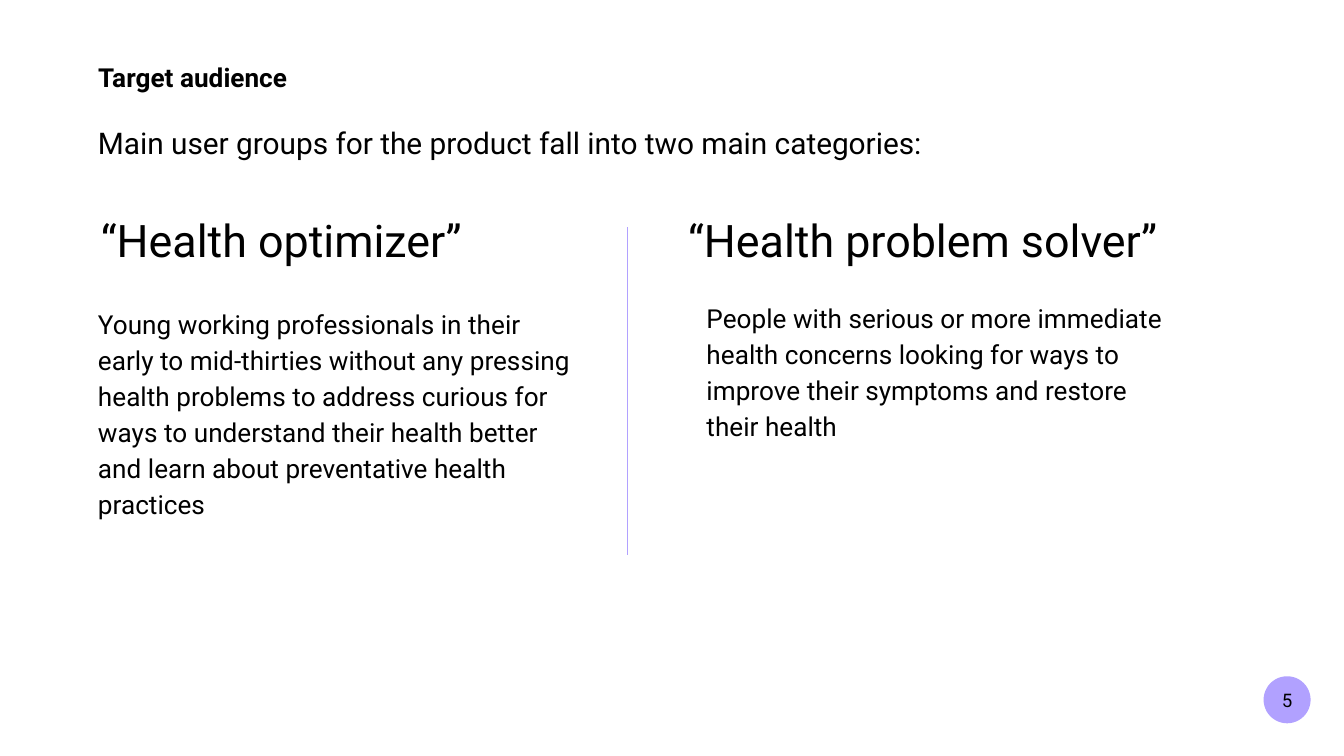
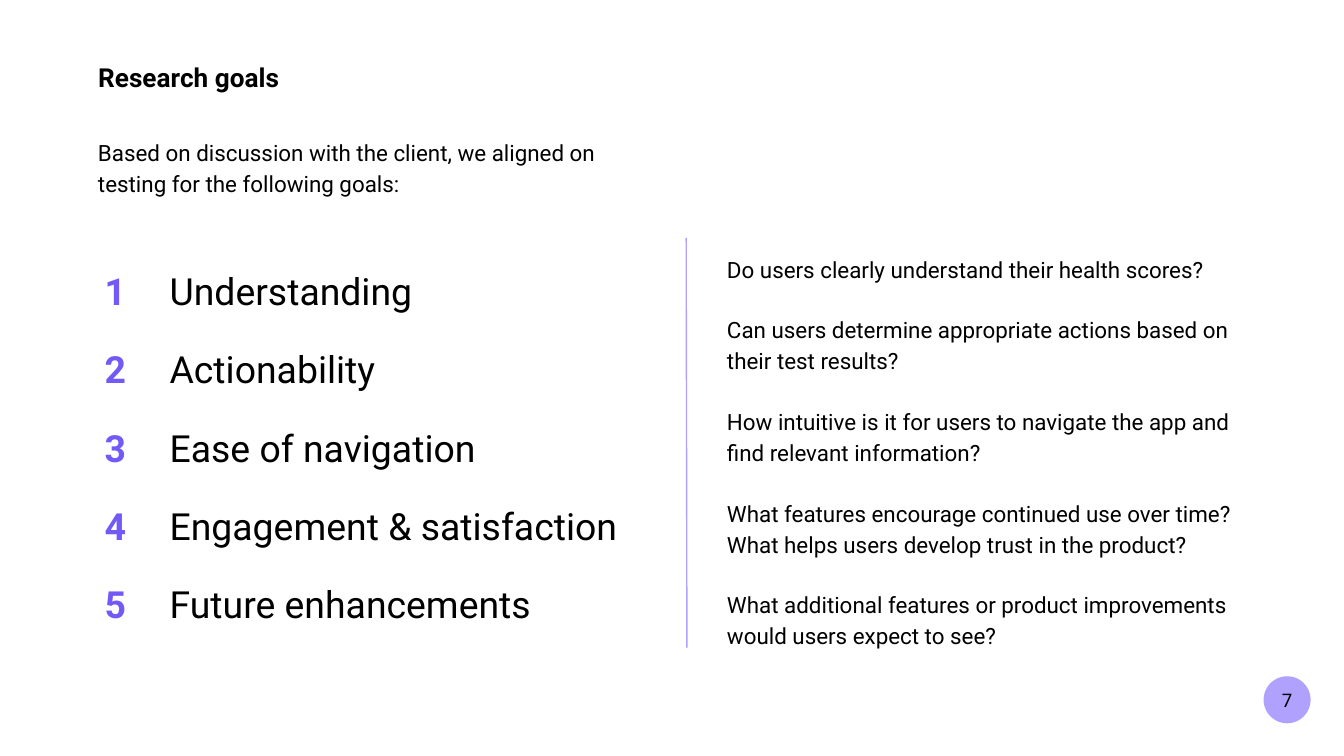
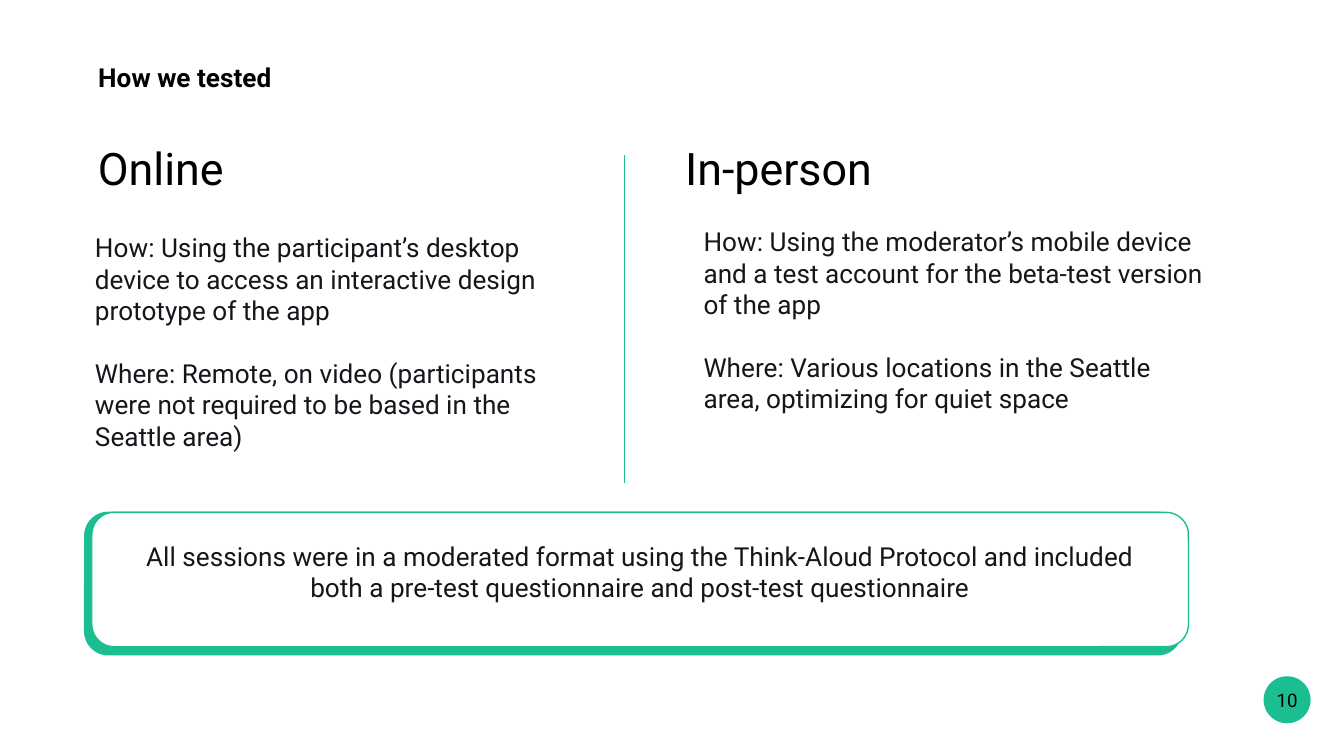
"""Build three research slides on audience, goals and test format."""
from lxml.etree import SubElement
from pptx import Presentation
from pptx.dml.color import RGBColor
from pptx.enum.shapes import MSO_CONNECTOR, MSO_SHAPE
from pptx.enum.text import MSO_ANCHOR, MSO_AUTO_SIZE, PP_ALIGN
from pptx.oxml.ns import qn
from pptx.util import Pt

FONT = "Roboto"
HEX = {"black": "000000", "ink": "15151B", "white": "FFFFFF",
       "lilac": "B1A1FF", "violet": "7359F5", "green": "1BBE90"}

GROUPS = {
    "title": "Target audience", "page": 5, "tint": "lilac",
    "lead": "Main user groups for the product fall into two main categories:",
    "heads": ("“Health optimizer”", "“Health problem solver”"),
    "texts": (
        ["Young working professionals in their early to mid-thirties without any "
         "pressing health problems to address curious for ways to understand their "
         "health better and learn about preventative health practices"],
        ["People with serious or more immediate health concerns looking for ways to "
         "improve their symptoms and restore their health"]),
}
GOALS = {
    "title": "Research goals", "page": 7, "tint": "lilac",
    "lead": "Based on discussion with the client, we aligned on testing for the "
            "following goals:",
    "rows": [
        ("Understanding", "Do users clearly understand their health scores?"),
        ("Actionability", "Can users determine appropriate actions based on their "
                          "test results?"),
        ("Ease of navigation", "How intuitive is it for users to navigate the app "
                               "and find relevant information?"),
        ("Engagement & satisfaction", "What features encourage continued use over "
                                      "time? What helps users develop trust in the "
                                      "product?"),
        ("Future enhancements", "What additional features or product improvements "
                                "would users expect to see?"),
    ],
}
TESTS = {
    "title": "How we tested", "page": 10, "tint": "green",
    "heads": ("Online", "In-person"),
    "texts": (
        ["How: Using the participant’s desktop device to access an interactive design "
         "prototype of the app",
         "Where: Remote, on video (participants were not required to be based in the "
         "Seattle area)"],
        ["How: Using the moderator’s mobile device and a test account for the "
         "beta-test version of the app",
         "Where: Various locations in the Seattle area, optimizing for quiet space"]),
    "note": "All sessions were in a moderated format using the Think-Aloud Protocol "
            "and included both a pre-test questionnaire and post-test questionnaire",
}


def tone(name):
    return RGBColor.from_string(HEX[name])


def area(box):
    return [Pt(n) for n in box]


def write(shape, paras, size=14, color="black", bold=False, align=PP_ALIGN.LEFT,
          anchor=MSO_ANCHOR.TOP, lines=1.0, gap=0):
    frame = shape.text_frame
    frame.word_wrap = True
    frame.auto_size = MSO_AUTO_SIZE.NONE
    frame.vertical_anchor = anchor
    frame.margin_left = frame.margin_right = Pt(7.2)
    frame.margin_top = frame.margin_bottom = Pt(7.2)
    for i, text in enumerate(paras):
        para = frame.add_paragraph() if i else frame.paragraphs[0]
        para.alignment = align
        para.line_spacing = lines
        para.space_before = Pt(gap if i else 0)
        run = para.add_run()
        run.text = text
        run.font.name = FONT
        run.font.size = Pt(size)
        run.font.bold = bold
        run.font.color.rgb = tone(color)


def label(slide, box, paras, **look):
    write(slide.shapes.add_textbox(*area(box)), paras, **look)


def block(slide, kind, box, fill, edge=None):
    shape = slide.shapes.add_shape(kind, *area(box))
    shape.shadow.inherit = False
    shape.fill.solid()
    shape.fill.fore_color.rgb = tone(fill)
    if edge:
        shape.line.color.rgb = tone(edge)
        shape.line.width = Pt(0.75)
    else:
        shape.line.fill.background()


def rule(slide, ends, color):
    line = slide.shapes.add_connector(MSO_CONNECTOR.STRAIGHT, *area(ends))
    line.line.color.rgb = tone(color)
    line.line.width = Pt(0.75)
    SubElement(line._element.spPr, qn("a:effectLst"))


def start(deck, data):
    slide = deck.slides.add_slide(deck.slide_layouts[5])
    title = slide.shapes.title
    title.left, title.top, title.width, title.height = area((45.4, 26, 216, 31))
    write(title, [data["title"]], bold=True, anchor=MSO_ANCHOR.MIDDLE)
    block(slide, MSO_SHAPE.OVAL, (676.9, 362.3, 25.2, 25.2), data["tint"])
    label(slide, (667.9, 359.3, 43.2, 31), [str(data["page"])], size=10,
          align=PP_ALIGN.CENTER, anchor=MSO_ANCHOR.MIDDLE)
    return slide


def pair(slide, data, x, y, wide, **look):
    heads = ((0, 268), (314.6, 296))
    texts = ((-1.6, 48.8, 270), (324.4, 45.4, wide))
    for (dx, w), head in zip(heads, data["heads"]):
        label(slide, (x + dx, y, w, 268.6), [head], size=24)
    for (dx, dy, w), text in zip(texts, data["texts"]):
        label(slide, (x + dx, y + dy, w, 171.4), text, **look)
    rule(slide, (x + 289.2, y + 15, x + 289.2, y + 190.7), data["tint"])


def groups(deck):
    slide = start(deck, GROUPS)
    label(slide, (45.4, 56.9, 561.6, 33.8), [GROUPS["lead"]], size=16, lines=1.15)
    pair(slide, GROUPS, 47, 106.7, 270, lines=1.15)


def goals(deck):
    slide = start(deck, GOALS)
    names, asks = zip(*GOALS["rows"])
    marks = [str(n) for n in range(1, len(names) + 1)]
    look = {"size": 20, "lines": 1.25, "gap": 12}
    label(slide, (45.4, 65, 284.4, 44.6), [GOALS["lead"]], size=12, lines=1.15)
    label(slide, (49, 130.4, 51, 213.8), marks, color="violet", bold=True, **look)
    label(slide, (83.8, 130.4, 261.4, 213.8), names, **look)
    label(slide, (382.4, 127.7, 302.4, 273.6), asks, size=12, lines=1.15, gap=16)
    rule(slide, (367.6, 127.4, 368, 347), GOALS["tint"])


def tests(deck):
    slide = start(deck, TESTS)
    pair(slide, TESTS, 45.4, 68.2, 286.6, color="ink", gap=16.8)
    tint = TESTS["tint"]
    for x, high, fill in ((45.4, 76.3, tint), (49.2, 72, "white")):
        block(slide, MSO_SHAPE.ROUNDED_RECTANGLE, (x, 274.5, 587.5, high), fill, tint)
    label(slide, (65, 282.2, 555.8, 55.4), [TESTS["note"]], color="ink",
          align=PP_ALIGN.CENTER)


def main():
    deck = Presentation()
    deck.slide_width, deck.slide_height = Pt(720), Pt(405)
    for build in (groups, goals, tests):
        build(deck)
    deck.save("out.pptx")


if __name__ == "__main__":
    main()
